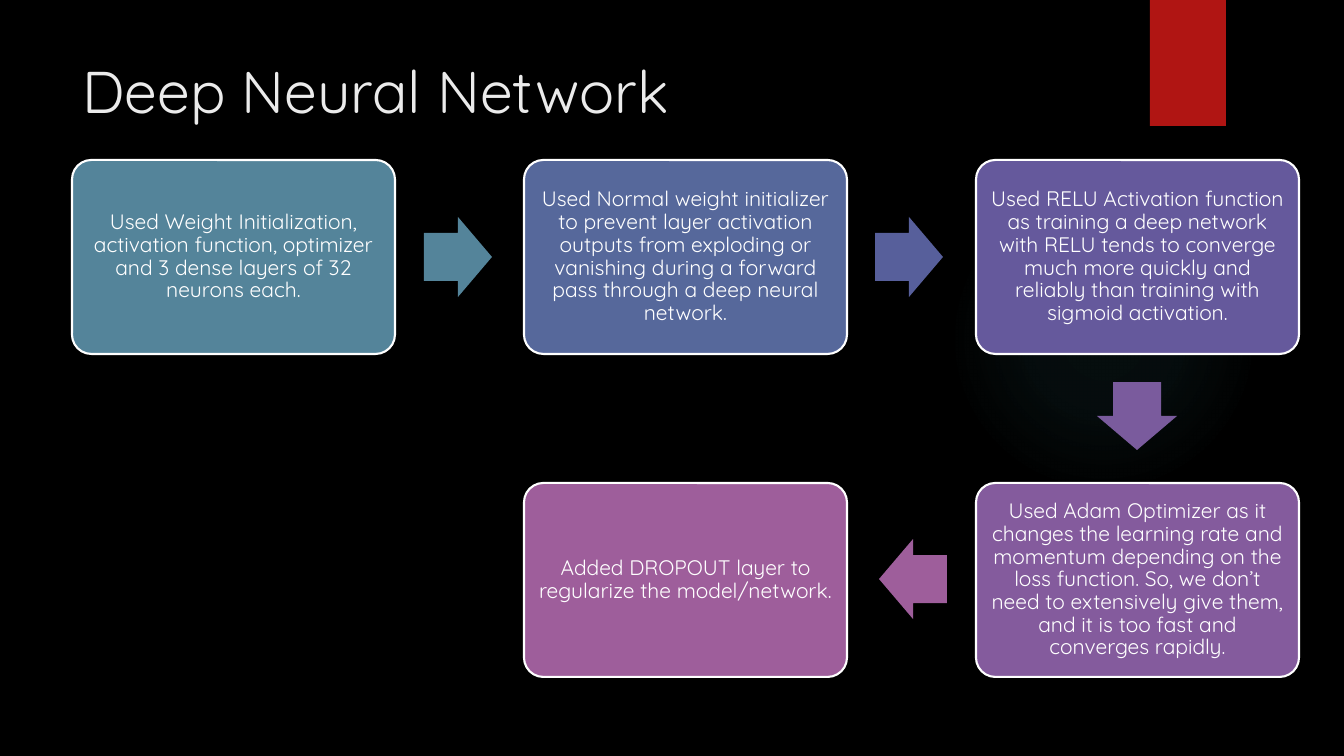
from lxml.etree import SubElement
from pptx import Presentation
from pptx.dml.color import RGBColor
from pptx.enum.shapes import MSO_SHAPE as Kind
from pptx.enum.text import MSO_ANCHOR as Anchor, PP_ALIGN as Align
from pptx.oxml.ns import qn
from pptx.util import Pt

PX = 914400 / 100.8
BOX_W, BOX_H = 323, 194
LEFT, TOP = 72, 160
STEP_X, STEP_Y = 452, 323
ARROW_W, ARROW_H = 68, 80

# column, row, fill, text
STEPS = [
    (0, 0, "54849A", "Used Weight Initialization, activation function, "
     "optimizer and 3 dense layers of 32 neurons each."),
    (1, 0, "56689B", "Used Normal weight initializer to prevent layer "
     "activation outputs from exploding or vanishing during a forward pass "
     "through a deep neural network."),
    (2, 0, "65599C", "Used RELU Activation function as training a deep "
     "network with RELU tends to converge much more quickly and reliably "
     "than training with sigmoid activation."),
    (2, 1, "845B9D", "Used Adam Optimizer as it changes the learning rate "
     "and momentum depending on the loss function. So, we don’t need to "
     "extensively give them, and it is too fast and converges rapidly."),
    (1, 1, "9E5E9B", "Added DROPOUT layer to regularize the model/network."),
]
# centre x, centre y, rotation, fill
ARROWS = [
    (458, 257, 0, "54849A"),
    (909, 257, 0, "575F9B"),
    (1137, 416, 90, "7A5B9D"),
    (913, 579, 180, "9E5E9B"),
]


def px(n):
    return round(n * PX)


def color(code):
    return RGBColor.from_string(code)


def style(run, size, code):
    look = {"name": "Quicksand", "size": Pt(size), "bold": False}
    for key, value in look.items():
        setattr(run.font, key, value)
    run.font.color.rgb = color(code)


def add_form(slide, kind, area, fill):
    """Add a flat preset shape without outline or shadow."""
    form = slide.shapes.add_shape(kind, *map(px, area))
    form.shadow.inherit = False
    form.fill.solid()
    form.fill.fore_color.rgb = color(fill)
    form.line.fill.background()
    return form


def add_glow(slide, area, code):
    """Add a circle whose faint fill fades out from its centre."""
    glow = add_form(slide, Kind.OVAL, area, code)
    props = glow.fill._xPr
    solid = props.find(qn("a:solidFill"))
    grad = props.makeelement(qn("a:gradFill"), {"rotWithShape": "1"})
    props.replace(solid, grad)
    stops = SubElement(grad, qn("a:gsLst"))
    for pos, alpha in [(0, 7), (36, 6), (69, 0)]:
        stop = SubElement(stops, qn("a:gs"), pos=str(pos * 1000))
        tint = SubElement(stop, qn("a:srgbClr"), val=code)
        SubElement(tint, qn("a:alpha"), val=str(alpha * 1000))
    way = SubElement(grad, qn("a:path"), path="circle")
    SubElement(way, qn("a:fillToRect"),
               **dict.fromkeys("ltrb", "50000"))


def set_title(slide, text):
    title = slide.shapes.title
    area = {"left": 72, "top": 50, "width": 1037, "height": 154}
    for key, value in area.items():
        setattr(title, key, px(value))
    frame = title.text_frame
    frame.vertical_anchor = Anchor.TOP
    par = frame.paragraphs[0]
    par.alignment = Align.LEFT
    run = par.add_run()
    run.text = text
    style(run, 42, "EBEBEB")


def add_step(slide, col, row, fill, text):
    area = LEFT + col * STEP_X, TOP + row * STEP_Y, BOX_W, BOX_H
    box = add_form(slide, Kind.ROUNDED_RECTANGLE, area, fill)
    box.adjustments[0] = 0.1
    box.line.color.rgb = color("FFFFFF")
    box.line.width = Pt(1.5)
    frame = box.text_frame
    frame.word_wrap = True
    frame.vertical_anchor = Anchor.MIDDLE
    for side in ("left", "top", "right", "bottom"):
        setattr(frame, f"margin_{side}", px(6))
    par = frame.paragraphs[0]
    par.alignment = Align.CENTER
    par.line_spacing = 0.9
    run = par.add_run()
    run.text = text
    style(run, 15, "FFFFFF")


def add_arrow(slide, x, y, turn, fill):
    area = x - ARROW_W // 2, y - ARROW_H // 2, ARROW_W, ARROW_H
    arrow = add_form(slide, Kind.RIGHT_ARROW, area, fill)
    arrow.adjustments[0] = 0.6
    arrow.adjustments[1] = 0.5
    arrow.rotation = turn


def main():
    deck = Presentation()
    deck.slide_width, deck.slide_height = px(1344), px(756)
    slide = deck.slides.add_slide(deck.slide_layouts[5])
    back = slide.background.fill
    back.solid()
    back.fore_color.rgb = color("000000")
    add_glow(slide, (949, 184, 310, 310), "50B9C1")
    add_form(slide, Kind.RECTANGLE, (1150, 0, 76, 126), "B01513")
    set_title(slide, "Deep Neural Network")
    for step in STEPS:
        add_step(slide, *step)
    for arrow in ARROWS:
        add_arrow(slide, *arrow)
    deck.save("out.pptx")


if __name__ == "__main__":
    main()
